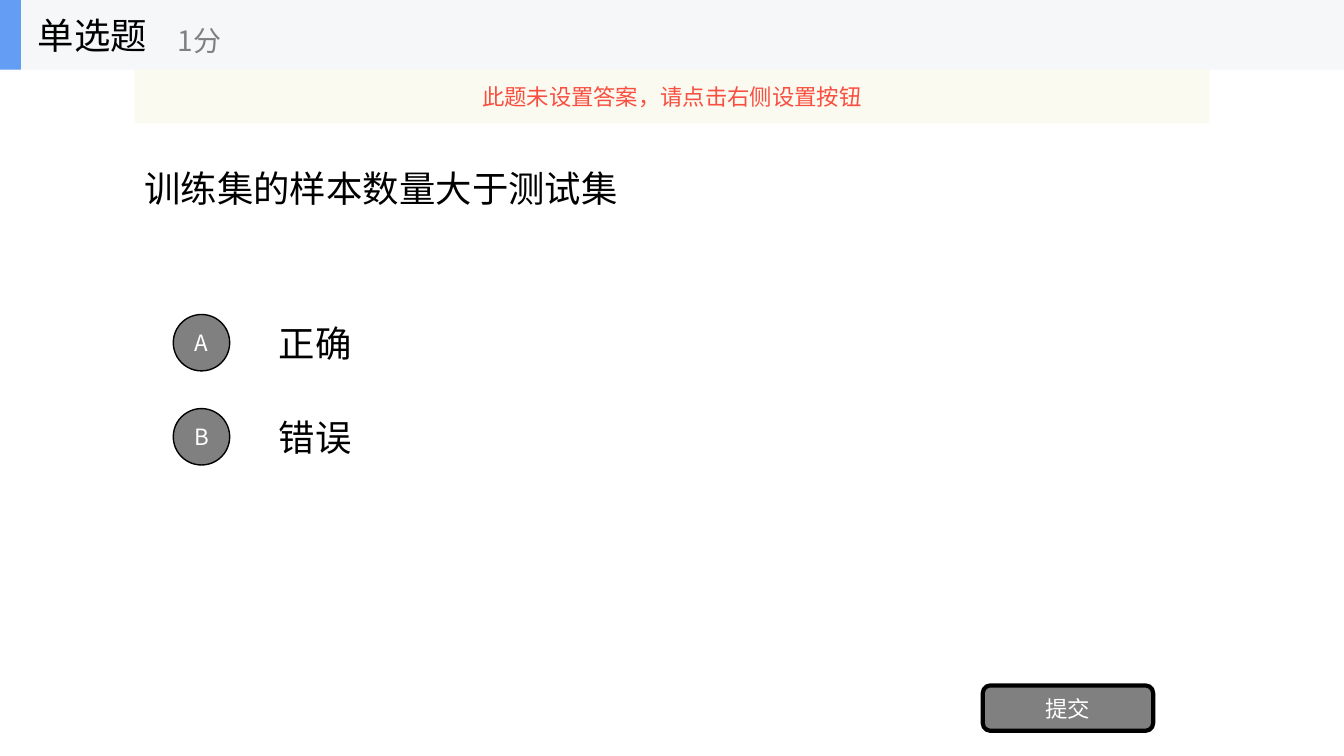
"""Build a single-choice quiz slide with two options and a submit button."""
from dataclasses import dataclass
from typing import Optional

from lxml.etree import SubElement
from pptx import Presentation
from pptx.dml.color import RGBColor
from pptx.enum.shapes import MSO_SHAPE
from pptx.enum.text import MSO_ANCHOR, PP_ALIGN
from pptx.oxml.ns import qn
from pptx.shapes.autoshape import Shape
from pptx.slide import Slide
from pptx.util import Pt

FONT = "Noto Sans CJK SC"
BLACK, GRAY, WHITE = "000000", "808080", "FFFFFF"
HEADER_HEIGHT = 49.7
OPTIONS = ("正确", "错误")
OPTION_TOP, OPTION_STEP, OPTION_HEIGHT = 219.6, 67.2, 50.4
BADGE_SIZE = 40.3


@dataclass
class Box:
    left: float
    top: float
    width: float
    height: float


@dataclass
class Label:
    text: str
    size: float
    color: str
    align: PP_ALIGN = PP_ALIGN.LEFT


@dataclass
class Panel:
    kind: MSO_SHAPE
    box: Box
    fill: str
    line_width: float = 0
    label: Optional[Label] = None
    opacity: int = 100


def rgb(value: str) -> RGBColor:
    return RGBColor.from_string(value)


def write_label(shape: Shape, label: Label) -> None:
    frame = shape.text_frame
    frame.word_wrap = True
    frame.vertical_anchor = MSO_ANCHOR.MIDDLE
    paragraph = frame.paragraphs[0]
    paragraph.alignment = label.align
    run = paragraph.add_run()
    run.text = label.text
    run.font.size = Pt(label.size)
    run.font.color.rgb = rgb(label.color)
    run.font.name = FONT
    SubElement(run.font._element, qn("a:ea"), typeface=FONT)


def draw_text(slide: Slide, box: Box, label: Label) -> None:
    shape = slide.shapes.add_textbox(
        Pt(box.left), Pt(box.top), Pt(box.width), Pt(box.height))
    write_label(shape, label)


def draw_panel(slide: Slide, panel: Panel) -> None:
    box = panel.box
    shape = slide.shapes.add_shape(
        panel.kind, Pt(box.left), Pt(box.top), Pt(box.width), Pt(box.height))
    shape.shadow.inherit = False
    shape.fill.solid()
    shape.fill.fore_color.rgb = rgb(panel.fill)
    if panel.opacity < 100:
        color = shape._element.spPr.find(qn("a:solidFill"))[0]
        SubElement(color, qn("a:alpha"), val=str(panel.opacity * 1000))
    if panel.line_width:
        shape.line.color.rgb = rgb(BLACK)
        shape.line.width = Pt(panel.line_width)
    else:
        shape.line.fill.background()
    if panel.label:
        frame = shape.text_frame
        frame.margin_left = frame.margin_right = Pt(0)
        frame.margin_top = frame.margin_bottom = Pt(0)
        write_label(shape, panel.label)


def centered(text: str, color: str) -> Label:
    return Label(text, 16, color, PP_ALIGN.CENTER)


def draw_options(slide: Slide) -> None:
    badge_offset = (OPTION_HEIGHT - BADGE_SIZE) / 2
    for index, (letter, answer) in enumerate(zip("AB", OPTIONS)):
        top = OPTION_TOP + index * OPTION_STEP
        draw_text(slide, Box(192, top, 672, OPTION_HEIGHT), Label(answer, 26, BLACK))
        badge = Box(123.8, top + badge_offset, BADGE_SIZE, BADGE_SIZE)
        draw_panel(slide, Panel(MSO_SHAPE.OVAL, badge, GRAY, 1, centered(letter, WHITE)))


def draw_header(slide: Slide) -> None:
    for width, fill in ((960, "F6F7F8"), (15, "639EF4")):
        draw_panel(slide, Panel(MSO_SHAPE.RECTANGLE, Box(0, 0, width, HEADER_HEIGHT), fill))
    draw_text(slide, Box(20, 0, 150, HEADER_HEIGHT), Label("单选题", 26, BLACK))
    draw_text(slide, Box(120, 8.8, 180, 40.3), Label("1分", 20, GRAY))


def main() -> None:
    presentation = Presentation()
    presentation.slide_width, presentation.slide_height = Pt(960), Pt(540)
    slide = presentation.slides.add_slide(presentation.slide_layouts[6])
    draw_text(slide, Box(96, HEADER_HEIGHT, 768, 168.5),
              Label("训练集的样本数量大于测试集", 26, BLACK))
    draw_options(slide)
    draw_panel(slide, Panel(MSO_SHAPE.ROUNDED_RECTANGLE, Box(702, 489.6, 121.7, 32.4),
                            GRAY, 3, centered("提交", WHITE)))
    draw_header(slide)
    draw_panel(slide, Panel(MSO_SHAPE.RECTANGLE, Box(96, HEADER_HEIGHT, 768, 38.4), "FBFAEF",
                            label=centered("此题未设置答案，请点击右侧设置按钮", "F84F41"),
                            opacity=90))
    presentation.save("out.pptx")


if __name__ == "__main__":
    main()
